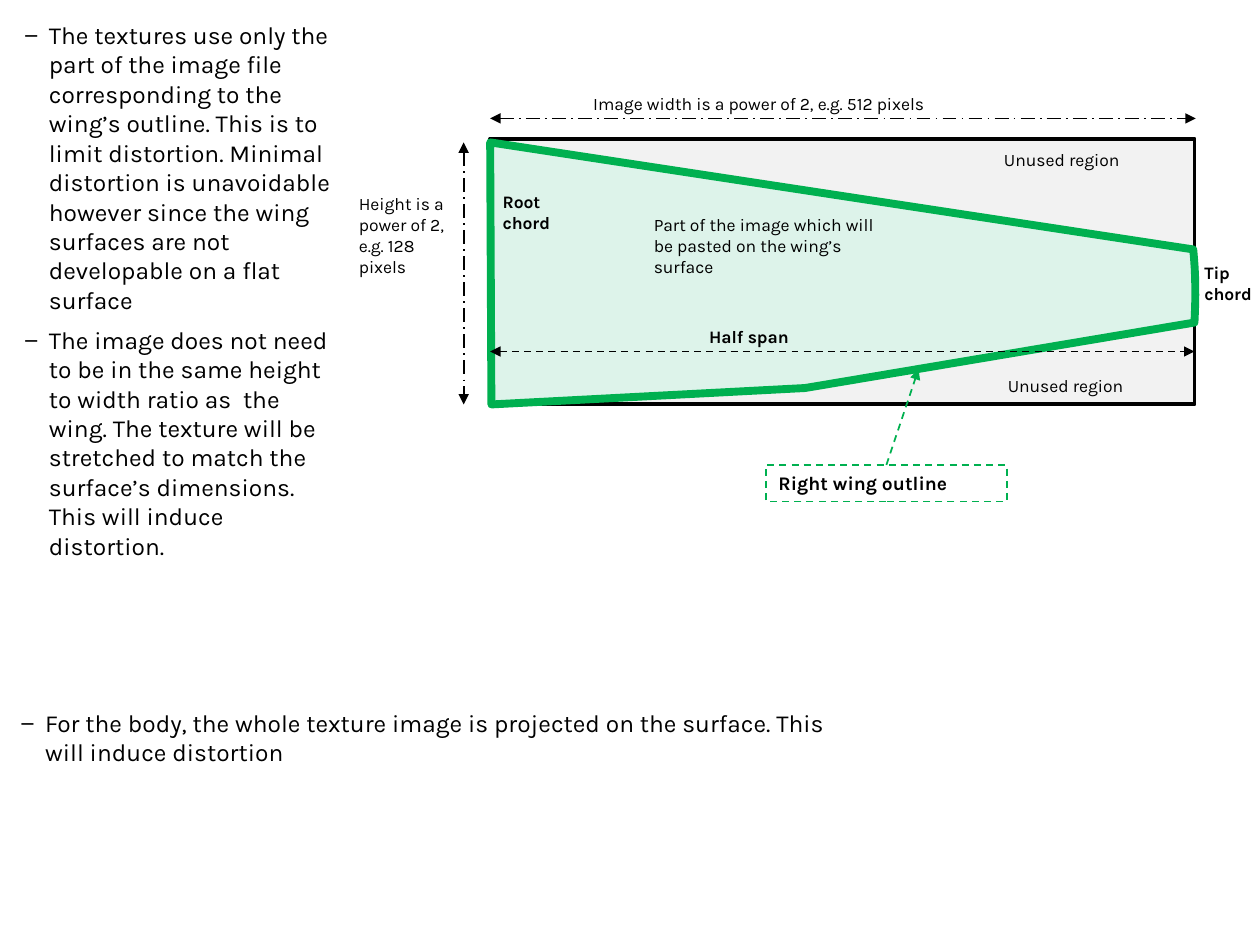
from lxml.etree import SubElement
from pptx import Presentation
from pptx.dml.color import RGBColor
from pptx.enum.dml import MSO_LINE
from pptx.enum.shapes import MSO_CONNECTOR, MSO_SHAPE
from pptx.enum.text import MSO_ANCHOR, MSO_AUTO_SIZE, PP_ALIGN
from pptx.oxml.ns import qn
from pptx.util import Inches, Pt

BLACK = RGBColor(0x00, 0x00, 0x00)
GREEN = RGBColor(0x00, 0xB0, 0x50)
PALE_GREEN = RGBColor(0xDD, 0xF3, 0xEA)
PALE_GREY = RGBColor(0xF2, 0xF2, 0xF2)
FONT = "Karla"

SURFACE_NOTES = [
    "The textures use only the part of the image file corresponding to the wing’s outline. "
    "This is to limit distortion. Minimal distortion is unavoidable however since the wing "
    "surfaces are not developable on a flat surface",
    "The image does not need to be in the same height to width ratio as  the wing. The texture "
    "will be stretched to match the surface’s dimensions. This will induce distortion.",
]
BODY_NOTES = [
    "For the body, the whole texture image is projected on the surface. "
    "This will induce distortion",
]

# Diagram labels: text, left, top, width, height (from the diagram's corner), bold, wrap
LABELS = [
    ("Image width is a power of 2, e.g. 512 pixels", 0.72, -0.41, 3.36, 0.27, False, False),
    ("Height is a power of 2, e.g. 128 pixels", -1.14, 0.38, 1.03, 0.77, False, True),
    ("Unused region", 3.98, 0.03, 1.53, 0.27, False, True),
    ("Unused region", 4.01, 1.83, 1.53, 0.27, False, True),
    ("Part of the image which will be pasted on the wing’s surface",
     1.2, 0.55, 1.95, 0.61, False, True),
    ("Root chord", 0, 0.37, 0.69, 0.44, True, True),
    ("Tip chord", 5.57, 0.93, 0.63, 0.6, True, True),
    ("Half span", 1.64, 1.44, 1.05, 0.27, True, True),
]


def add_run(paragraph, text, size, bold=False):
    run = paragraph.add_run()
    run.text = text
    run.font.name = FONT
    run.font.size = Pt(size)
    run.font.bold = bold
    run.font.color.rgb = BLACK


def setup_frame(shape, wrap=True):
    frame = shape.text_frame
    frame.word_wrap = wrap
    frame.auto_size = MSO_AUTO_SIZE.SHAPE_TO_FIT_TEXT
    frame.vertical_anchor = MSO_ANCHOR.TOP
    frame.paragraphs[0].alignment = PP_ALIGN.LEFT
    return frame


def add_label(slide, text, left, top, width, height, bold, wrap):
    box = slide.shapes.add_textbox(Inches(left), Inches(top), Inches(width), Inches(height))
    add_run(setup_frame(box, wrap).paragraphs[0], text, 10, bold)


def add_dash_list(slide, notes, left, top, width, height):
    box = slide.shapes.add_textbox(Inches(left), Inches(top), Inches(width), Inches(height))
    frame = setup_frame(box)
    for index, note in enumerate(notes):
        paragraph = frame.add_paragraph() if index else frame.paragraphs[0]
        paragraph.space_before = Pt(6)
        # Hanging indent with a dash as bullet
        properties = paragraph._p.get_or_add_pPr()
        properties.set("marL", str(Inches(0.19)))
        properties.set("indent", str(-Inches(0.19)))
        colour = SubElement(properties, qn("a:buClr"))
        SubElement(colour, qn("a:srgbClr"), val=str(BLACK))
        SubElement(properties, qn("a:buFont"), typeface=FONT)
        SubElement(properties, qn("a:buChar"), char="−")
        add_run(paragraph, note, 14)


def add_outline(slide, left, top, points, fill, line, weight):
    vertices = [(Inches(left + x), Inches(top + y)) for x, y in points]
    builder = slide.shapes.build_freeform(*vertices[0])
    builder.add_line_segments(vertices[1:], close=True)
    shape = builder.convert_to_shape()
    shape.shadow.inherit = False
    shape.fill.solid()
    shape.fill.fore_color.rgb = fill
    shape.line.color.rgb = line
    shape.line.width = Pt(weight)
    SubElement(shape.line._get_or_add_ln(), qn("a:round"))


def add_arrow(slide, start, end, colour, dash, both_ends=True):
    connector = slide.shapes.add_connector(
        MSO_CONNECTOR.STRAIGHT, *(Inches(value) for value in start + end))
    connector.line.color.rgb = colour
    connector.line.width = Pt(1)
    connector.line.dash_style = dash
    line = connector.line._get_or_add_ln()
    if both_ends:
        SubElement(line, qn("a:headEnd"), type="triangle")
    SubElement(line, qn("a:tailEnd"), type="triangle")
    SubElement(connector._element.spPr, qn("a:effectLst"))
    return connector


def bezier(start, first, second, end, steps=8):
    """Points along a cubic curve, without its start."""
    points = []
    for step in range(1, steps + 1):
        t = step / steps
        weights = ((1 - t) ** 3, 3 * t * (1 - t) ** 2, 3 * t ** 2 * (1 - t), t ** 3)
        points.append(tuple(
            sum(weight * value for weight, value in zip(weights, axis))
            for axis in zip(start, first, second, end)))
    return points


def add_callout(slide, left, top, width, height, target):
    box = slide.shapes.add_shape(
        MSO_SHAPE.RECTANGLE, Inches(left), Inches(top), Inches(width), Inches(height))
    box.shadow.inherit = False
    box.fill.background()
    box.line.color.rgb = GREEN
    box.line.width = Pt(1)
    box.line.dash_style = MSO_LINE.DASH
    add_run(setup_frame(box).paragraphs[0], "Right wing outline", 11, bold=True)
    pointer = add_arrow(slide, (left + width / 2, top), target, GREEN, MSO_LINE.DASH, False)
    pointer.begin_connect(box, 0)


def add_wing_diagram(slide, left, top, width, height):
    # Whole image, then the part used by the wing
    corners = [(0, 0), (width, 0), (width, height), (0, height)]
    add_outline(slide, left, top, corners, PALE_GREY, BLACK, 2.25)
    tip_low, tip_high = (width, 1.46), (width - 0.01, 0.88)
    wing = [(0, 0.03), (0.01, height), (2.5, 1.98), tip_low]
    wing += bezier(tip_low, (width + 0.01, 1.27), (width + 0.01, 1.07), tip_high)
    add_outline(slide, left, top, wing, PALE_GREEN, GREEN, 4.5)

    # Dimension arrows: image width, image height, half span
    right, bottom = left + width, top + height
    for start, end, dash in [
        ((left, top - 0.16), (right + 0.01, top - 0.16), MSO_LINE.LONG_DASH_DOT),
        ((left - 0.21, top + 0.03), (left - 0.21, bottom), MSO_LINE.LONG_DASH_DOT),
        ((left, top + 1.69), (right, top + 1.69), MSO_LINE.DASH),
    ]:
        add_arrow(slide, start, end, BLACK, dash)

    for text, x, y, label_width, label_height, bold, wrap in LABELS:
        add_label(slide, text, left + x, top + y, label_width, label_height, bold, wrap)

    add_callout(slide, left + 2.19, top + 2.59, 1.91, 0.29, (left + 3.4, top + 1.83))


def main():
    presentation = Presentation()
    presentation.slide_width = Inches(10)
    presentation.slide_height = Inches(7.5)
    slide = presentation.slides.add_slide(presentation.slide_layouts[6])
    add_dash_list(slide, SURFACE_NOTES, 0.1, 0.11, 2.64, 5.09)
    add_wing_diagram(slide, 3.89, 1.1, 5.59, 2.11)
    add_dash_list(slide, BODY_NOTES, 0.07, 5.57, 6.87, 0.57)
    presentation.save("out.pptx")


if __name__ == "__main__":
    main()
